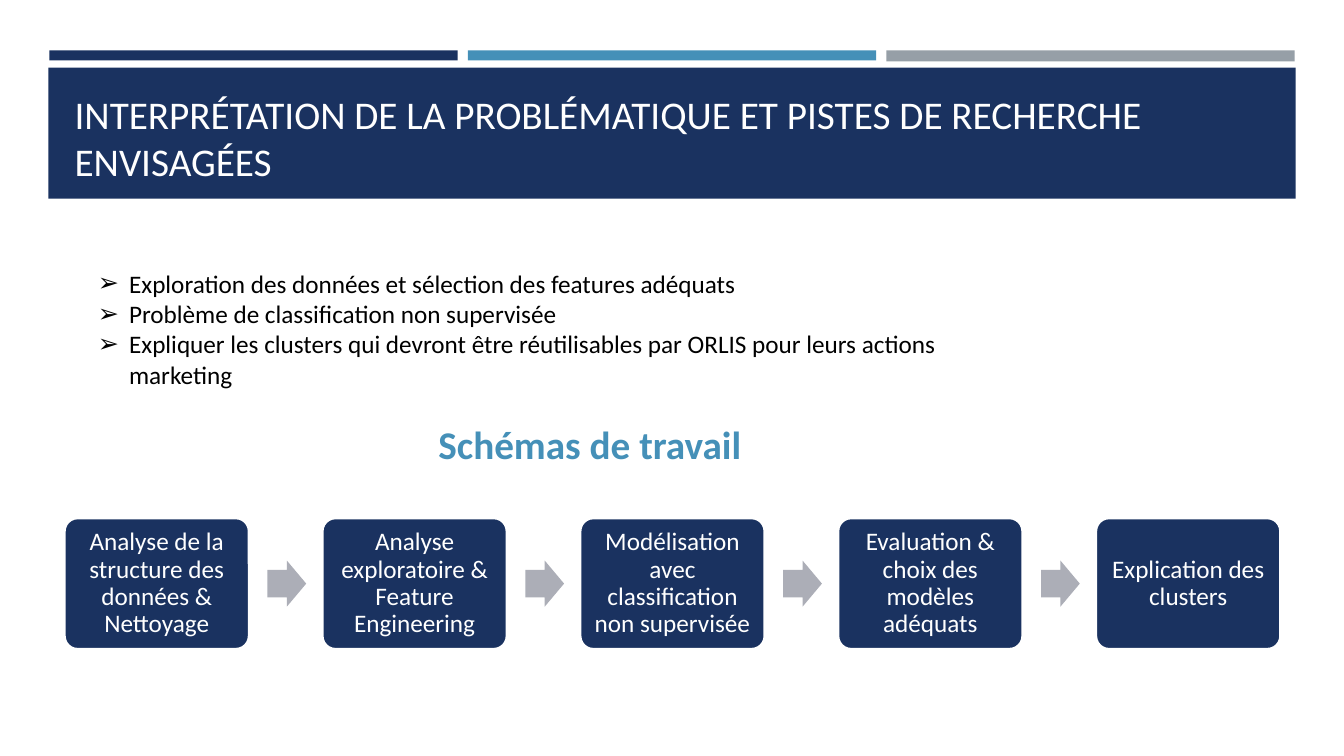
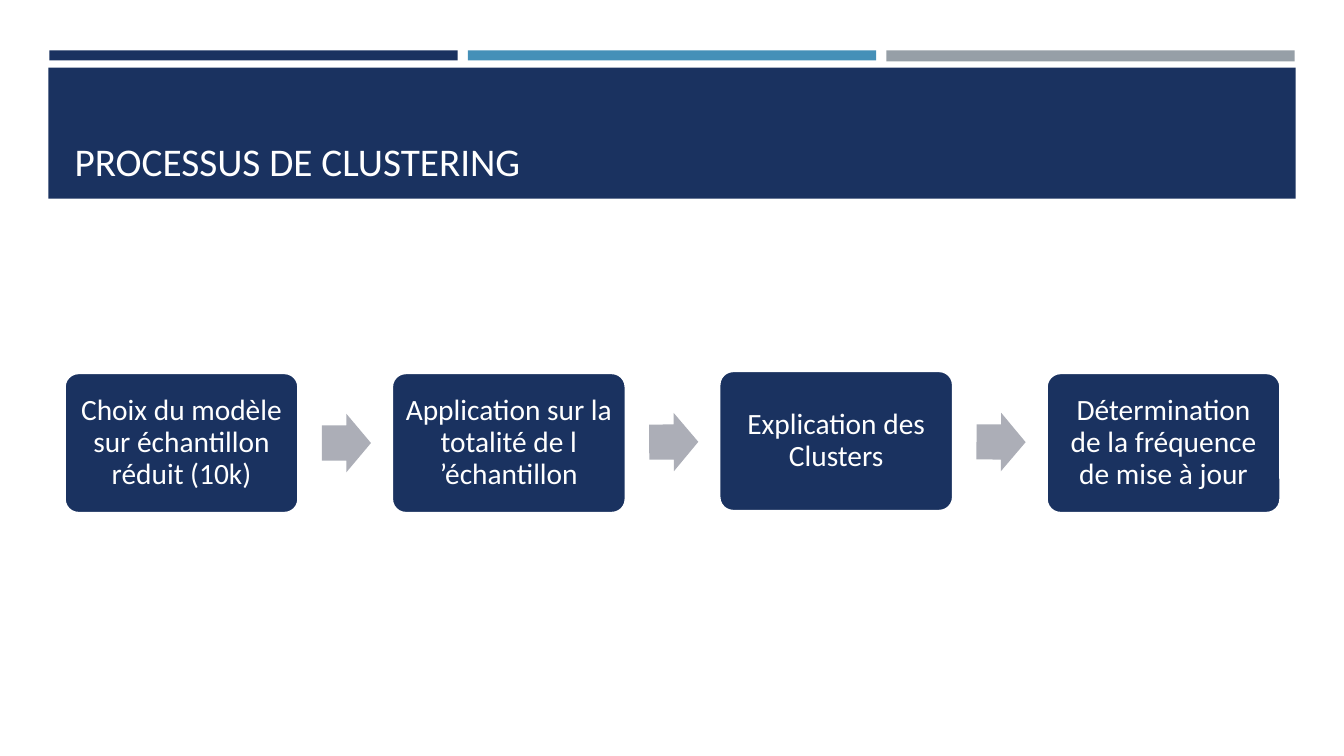
import math

from lxml import etree
from pptx import Presentation
from pptx.dml.color import RGBColor
from pptx.enum import shapes as kinds, text as t
from pptx.oxml.ns import qn
from pptx.util import Inches, Pt

NAVY, BLUE, GREY, ARROW_GREY = "1A3260", "4590B8", "969FA7", "ACAEB7"
WHITE, BLACK = "FFFFFF", "000000"
FONT = "Calibri"
LEFT, FLOW_RIGHT = 0.64, 12.7
KIND = kinds.MSO_SHAPE

BANDS = [  # left, top, width, height, colour
    (0.49, 0.5, 4.05, 0.1, NAVY),
    (4.64, 0.5, 4.05, 0.1, BLUE),
    (8.79, 0.5, 4.05, 0.11, GREY),
    (0.48, 0.67, 12.37, 1.3, NAVY),
]

SLIDES = [
    {
        "title": "INTERPRÉTATION DE LA PROBLÉMATIQUE ET PISTES DE RECHERCHE ENVISAGÉES",
        "points": [
            "Exploration des données et sélection des features adéquats",
            "Problème de classification non supervisée",
            "Expliquer les clusters qui devront être réutilisables par ORLIS pour leurs actions marketing",
        ],
        "heading": "Schémas de travail",
        "flow": {
            "width": 1.83, "height": 1.3, "size": 18, "inset": 0.07,
            "steps": [  # text, top
                ("Analyse de la structure des données & Nettoyage", 5.14),
                ("Analyse exploratoire & Feature Engineering", 5.14),
                ("Modélisation avec classification non supervisée", 5.14),
                ("Evaluation & choix des modèles adéquats", 5.14),
                ("Explication des clusters", 5.14),
            ],
        },
    },
    {
        "title": "PROCESSUS DE CLUSTERING",
        "flow": {
            "width": 2.32, "height": 1.39, "size": 21, "inset": 0.09,
            "steps": [
                ("Choix du modèle sur échantillon réduit (10k)", 3.7),
                ("Application sur la totalité de l ’échantillon", 3.7),
                ("Explication des Clusters", 3.68),
                ("Détermination de la fréquence de mise à jour", 3.7),
            ],
        },
    },
]


def rgb(value):
    return RGBColor.from_string(value)


def place(shape, *box):
    for side, value in zip(("left", "top", "width", "height"), box):
        setattr(shape, side, Inches(value))


def write(shape, lines, size, color, bold=False, frame_format=None, **paragraph_format):
    frame = shape.text_frame
    frame.text = "\n".join(lines)
    frame_values = {"word_wrap": True, "auto_size": t.MSO_AUTO_SIZE.NONE}
    for name, value in {**frame_values, **(frame_format or {})}.items():
        setattr(frame, name, value)
    for paragraph in frame.paragraphs:
        for name, value in paragraph_format.items():
            setattr(paragraph, name, value)
        font = paragraph.runs[0].font
        for name, value in {"name": FONT, "size": Pt(size), "bold": bold}.items():
            setattr(font, name, value)
        font.color.rgb = rgb(color)


def add_filled(slide, kind, box, color):
    shape = slide.shapes.add_shape(kind, *map(Inches, box))
    shape.shadow.inherit = False
    shape.fill.solid()
    shape.fill.fore_color.rgb = rgb(color)
    shape.line.fill.background()
    return shape


def move_bands_to_master(slide, master):
    """Draw the bands on a slide, then move them behind the master's placeholders."""
    tree = master.shapes.element
    for number, (*box, color) in enumerate(BANDS):
        band = add_filled(slide, KIND.RECTANGLE, box, color)
        band.element.nvSpPr.cNvPr.set("id", str(100 + number))
        tree.insert(2 + number, band.element)


def add_title(slide, title):
    place(slide.shapes.title, LEFT, 0.77, 12.06, 1.11)
    write(slide.shapes.title, [title], 28, WHITE, alignment=t.PP_ALIGN.LEFT,
          frame_format={"vertical_anchor": t.MSO_ANCHOR.BOTTOM})


def add_points(slide, points):
    body = slide.placeholders[1]
    place(body, 0.87, 2.61, 9.55, 1.31)
    write(body, points, 18, BLACK, space_before=Pt(0))
    for paragraph in body.text_frame.paragraphs:
        properties = paragraph._p.get_or_add_pPr()
        properties.set("marL", str(Inches(0.31)))
        properties.set("indent", str(-Inches(0.31)))
        etree.SubElement(properties, qn("a:buFont"), typeface="Arial")
        etree.SubElement(properties, qn("a:buChar"), char="➢")


def add_heading(slide, heading):
    box = slide.shapes.add_textbox(*map(Inches, (4.25, 4.12, 4.16, 0.57)))
    write(box, [heading], 28, BLUE, bold=True)


def add_flow(slide, width, height, size, inset, steps):
    """Spread the step boxes evenly, with an arrow in each gap."""
    pitch = (FLOW_RIGHT - LEFT - width) / (len(steps) - 1)
    margins = {f"margin_{side}": Inches(inset) for side in ("left", "top", "right", "bottom")}
    for i, (step, top) in enumerate(steps):
        left = LEFT + i * pitch
        box = add_filled(slide, KIND.ROUNDED_RECTANGLE, (left, top, width, height), NAVY)
        box.adjustments[0] = 0.1
        box.line.color.rgb = rgb(WHITE)
        box.line.width = Pt(1.75)
        write(box, [step], size, WHITE, alignment=t.PP_ALIGN.CENTER, line_spacing=0.9,
              frame_format={"vertical_anchor": t.MSO_ANCHOR.MIDDLE, **margins})
        if i + 1 < len(steps):
            next_top = steps[i + 1][1]
            middle = (top + next_top + height) / 2
            arrow_height = 0.25 * width
            arrow = add_filled(slide, KIND.RIGHT_ARROW,
                               (left + 1.1 * width, middle - arrow_height / 2,
                                0.21 * width, arrow_height), ARROW_GREY)
            arrow.adjustments[0] = 0.6
            arrow.adjustments[1] = 0.5
            arrow.rotation = math.degrees(math.atan2(next_top - top, pitch))


def main():
    prs = Presentation()
    prs.slide_width, prs.slide_height = Inches(13.33), Inches(7.5)
    for number, content in enumerate(SLIDES):
        layout = prs.slide_layouts[1 if "points" in content else 5]
        slide = prs.slides.add_slide(layout)
        if number == 0:
            move_bands_to_master(slide, prs.slide_master)
        add_title(slide, content["title"])
        if "points" in content:
            add_points(slide, content["points"])
        if "heading" in content:
            add_heading(slide, content["heading"])
        add_flow(slide, **content["flow"])
    prs.save("out.pptx")


if __name__ == "__main__":
    main()
